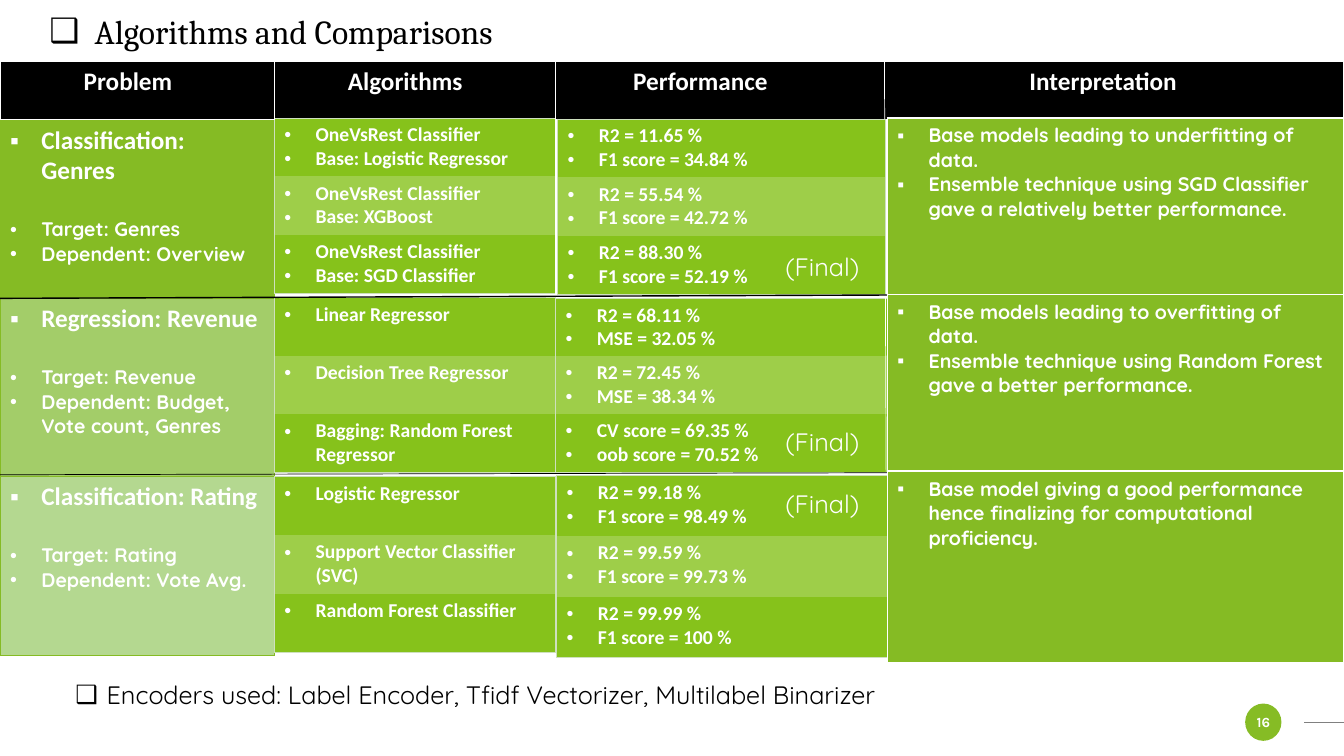
from dataclasses import dataclass
from typing import Optional

from lxml.etree import SubElement
from pptx import Presentation
from pptx.dml.color import RGBColor as RGB
from pptx.enum.shapes import MSO_CONNECTOR as LINK, MSO_SHAPE as SHAPE
from pptx.enum.text import MSO_ANCHOR as ANCHOR, PP_ALIGN as ALIGN
from pptx.oxml.ns import qn
from pptx.util import Inches, Pt

HUES = {
    "white": "FFFFFF", "black": "000000", "grey": "808080", "disc": "86BC25",
    "green": "85BB24", "soft": "A3CD69", "pale": "B4D890",
    "lime": "86C21B", "light": "9ECE49", "edge": "CEE0BE",
}
FORMS = {
    "head": {"name": "Calibri", "size": Pt(18), "bold": True},
    "item": {"name": "Calibri", "size": Pt(14), "bold": True},
    "note": {"name": "Quicksand", "size": Pt(14), "bold": True},
    "plain": {"name": "Quicksand", "size": Pt(18), "bold": False},
    "title": {"name": "Cambria", "size": Pt(24), "bold": False},
    "page": {"name": "Karla", "size": Pt(10), "bold": True},
}


@dataclass
class Para:
    text: str
    form: str
    mark: str = ""
    hue: str = "white"
    indent: float = 0.31
    gap: float = 0
    stops: tuple[float, ...] = ()


@dataclass
class Grid:
    left: float
    top: float
    width: float
    row: float
    cells: list[list[Para]]
    fills: tuple[str, ...]
    rim: str
    weight: float = 0.5
    inner: Optional[str] = None


@dataclass
class Rule:
    start: tuple[float, float]
    end: tuple[float, float]
    hue: str
    weight: float = 0.5


@dataclass
class Label:
    left: float
    top: float
    width: float
    height: float
    para: Para


def tint(name: str) -> RGB:
    return RGB.from_string(HUES[name])


def write(frame, paras: list[Para]) -> None:
    frame.word_wrap = True
    for i, item in enumerate(paras):
        para = frame.paragraphs[0] if i == 0 else frame.add_paragraph()
        props = para._p.get_or_add_pPr()
        if item.mark:
            span = Inches(item.indent)
            props.set("marL", str(span))
            props.set("indent", str(-span))
            SubElement(props, qn("a:buFont"), typeface="Arial")
            SubElement(props, qn("a:buChar"), char=item.mark)
        if item.stops:
            tabs = SubElement(props, qn("a:tabLst"))
            for stop in item.stops:
                SubElement(tabs, qn("a:tab"), pos=str(Inches(stop)), algn="l")
        if item.gap:
            para.space_before = Pt(item.gap)
        run = para.add_run()
        run.text = item.text
        for key, value in FORMS[item.form].items():
            setattr(run.font, key, value)
        run.font.color.rgb = tint(item.hue)


def edge(cell, side: str, hue: Optional[str], weight: float) -> None:
    """Draw one side of a cell, or clear it when there is no hue."""
    props = cell._tc.get_or_add_tcPr()
    line = SubElement(props, qn(f"a:ln{side}"), w=str(Pt(weight)))
    if hue:
        fill = SubElement(line, qn("a:solidFill"))
        SubElement(fill, qn("a:srgbClr"), val=HUES[hue])
    else:
        SubElement(line, qn("a:noFill"))


def draw_grid(slide, grid: Grid) -> None:
    count = len(grid.cells)
    box = [Inches(n) for n in (grid.left, grid.top, grid.width, grid.row * count)]
    table = slide.shapes.add_table(count, 1, *box).table
    table.first_row = table.horz_banding = False
    for i, paras in enumerate(grid.cells):
        table.rows[i].height = Inches(grid.row)
        cell = table.cell(i, 0)
        write(cell.text_frame, paras)
        hues = {
            "L": grid.rim, "R": grid.rim,
            "T": grid.rim if i == 0 else grid.inner,
            "B": grid.rim if i == count - 1 else grid.inner,
        }
        for side, hue in hues.items():
            edge(cell, side, hue, grid.weight)
        cell.fill.solid()
        cell.fill.fore_color.rgb = tint(grid.fills[i])


def draw_rule(slide, rule: Rule) -> None:
    ends = [Inches(n) for n in rule.start + rule.end]
    line = slide.shapes.add_connector(LINK.STRAIGHT, *ends)
    line.line.color.rgb = tint(rule.hue)
    line.line.width = Pt(rule.weight)
    SubElement(line._element.spPr, qn("a:effectLst"))


def draw_label(slide, label: Label) -> None:
    box = [Inches(n) for n in (label.left, label.top, label.width, label.height)]
    write(slide.shapes.add_textbox(*box).text_frame, [label.para])


def draw_page(slide) -> None:
    box = [Inches(n) for n in (12.35, 6.98, 0.36, 0.37)]
    disc = slide.shapes.add_shape(SHAPE.OVAL, *box)
    disc.shadow.inherit = False
    disc.fill.solid()
    disc.fill.fore_color.rgb = tint("disc")
    disc.line.fill.background()
    frame = disc.text_frame
    for side in ("left", "top", "right", "bottom"):
        setattr(frame, f"margin_{side}", 0)
    frame.vertical_anchor = ANCHOR.MIDDLE
    write(frame, [Para("16", "page")])
    frame.paragraphs[0].alignment = ALIGN.CENTER


def task(name: str, *notes: str) -> list[Para]:
    """Give a heading and its bullets, the first one set apart."""
    rest = [Para(n, "note", "•", gap=0 if i else 22) for i, n in enumerate(notes)]
    return [Para(name, "head", "▪")] + rest


def trio(left: float, top: float, width: float, row: float, *cells: list[str]) -> Grid:
    paras = [[Para(t, "item", "•") for t in texts] for texts in cells]
    return Grid(left, top, width, row, paras, ("lime", "light", "lime"), "edge")


def verdict(top: float, row: float, *texts: str) -> Grid:
    return Grid(8.8, top, 4.53, row, [[Para(t, "note", "▪") for t in texts]],
                ("green",), "white", 1)


HEADS = Para("\tProblem\tAlgorithms\tPerformance\tInterpretation", "head",
             stops=(0.73, 3.35, 6.18, 10.11))
ONE = "OneVsRest Classifier"
ITEMS = [
    Rule((13.33, 7.17), (12.93, 7.17), "grey"),
    Grid(0, 0.61, 13.33, 0.58, [[HEADS]], ("black",), "white", 1),
    Grid(0, 1.19, 2.72, 1.77, [
        task("Classification: Genres", "Target: Genres", "Dependent: Overview"),
        task("Regression: Revenue", "Target: Revenue",
             "Dependent: Budget, Vote count, Genres"),
        task("Classification: Rating", "Target: Rating", "Dependent: Vote Avg."),
    ], ("green", "soft", "pale"), "green", inner="green"),
    trio(2.72, 1.17, 2.79, 0.58, [ONE, "Base: Logistic Regressor"],
         [ONE, "Base: XGBoost"], [ONE, "Base: SGD Classifier"]),
    trio(5.51, 2.96, 3.31, 0.57, ["R2 = 68.11 %", "MSE = 32.05 %"],
         ["R2 = 72.45 %", "MSE = 38.34 %"],
         ["CV score = 69.35 %", "oob score = 70.52 %"]),
    Rule((2.72, 1.19), (2.72, 0.61), "white"),
    Rule((5.51, 0.01), (5.51, 7.5), "white"),
    Rule((8.77, 0.01), (8.8, 7.5), "white"),
    Label(0.39, 0.06, 6.58, 0.5,
          Para("Algorithms and Comparisons", "title", "❑", "black", 0.45)),
    trio(2.72, 2.95, 2.79, 0.58, ["Linear Regressor"], ["Decision Tree Regressor"],
         ["Bagging: Random Forest Regressor"]),
    trio(2.72, 4.73, 2.79, 0.58, ["Logistic Regressor"],
         ["Support Vector Classifier (SVC)"], ["Random Forest Classifier"]),
    trio(5.53, 1.18, 3.25, 0.58, ["R2 = 11.65 %", "F1 score = 34.84 %"],
         ["R2 = 55.54 %", "F1 score = 42.72 %"],
         ["R2 = 88.30 %", "F1 score = 52.19 %"]),
    trio(5.52, 4.72, 3.29, 0.6, ["R2 = 99.18 %", "F1 score = 98.49 %"],
         ["R2 = 99.59 %", "F1 score = 99.73 %"],
         ["R2 = 99.99 %", "F1 score = 100 %"]),
    Label(0.65, 6.69, 9.01, 0.4,
          Para("Encoders used: Label Encoder, Tfidf Vectorizer, Multilabel Binarizer",
               "plain", "❑", "black")),
    Rule((0, 2.96), (13.33, 2.91), "black", 1),
    Rule((0, 4.71), (13.33, 4.68), "black"),
    *[Label(7.69, top, 1.71, 0.4, Para("(Final)", "plain"))
      for top in (2.44, 4.18, 4.8)],
    verdict(1.17, 1.75, "Base models leading to underfitting of data.",
            "Ensemble technique using SGD Classifier gave a relatively better performance."),
    verdict(2.92, 1.75, "Base models leading to overfitting of data.",
            "Ensemble technique using Random Forest gave a better performance."),
    verdict(4.68, 1.89, "Base model giving a good performance hence finalizing "
            "for computational proficiency."),
]
TOOLS = {Grid: draw_grid, Rule: draw_rule, Label: draw_label}

deck = Presentation()
deck.slide_width, deck.slide_height = Inches(13.33), Inches(7.5)
slide = deck.slides.add_slide(deck.slide_layouts[6])
draw_page(slide)
for item in ITEMS:
    TOOLS[type(item)](slide, item)
deck.save("out.pptx")
